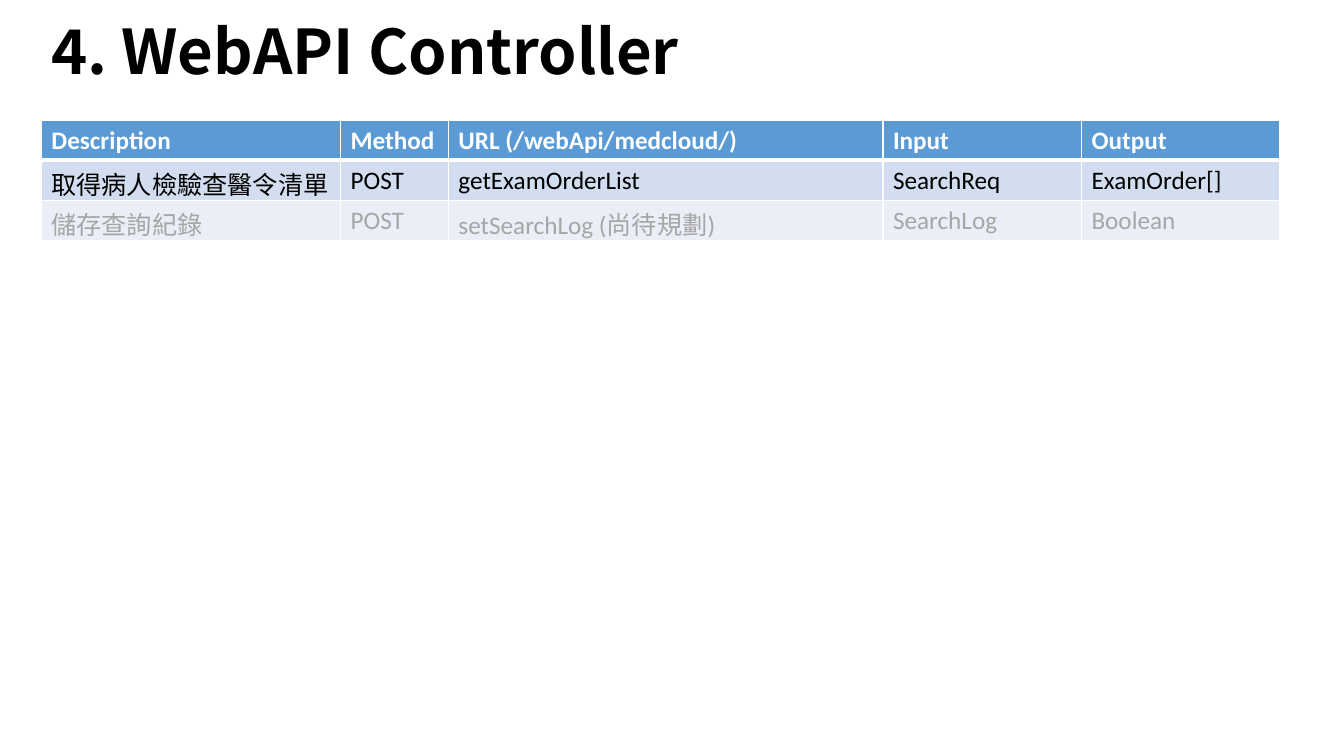
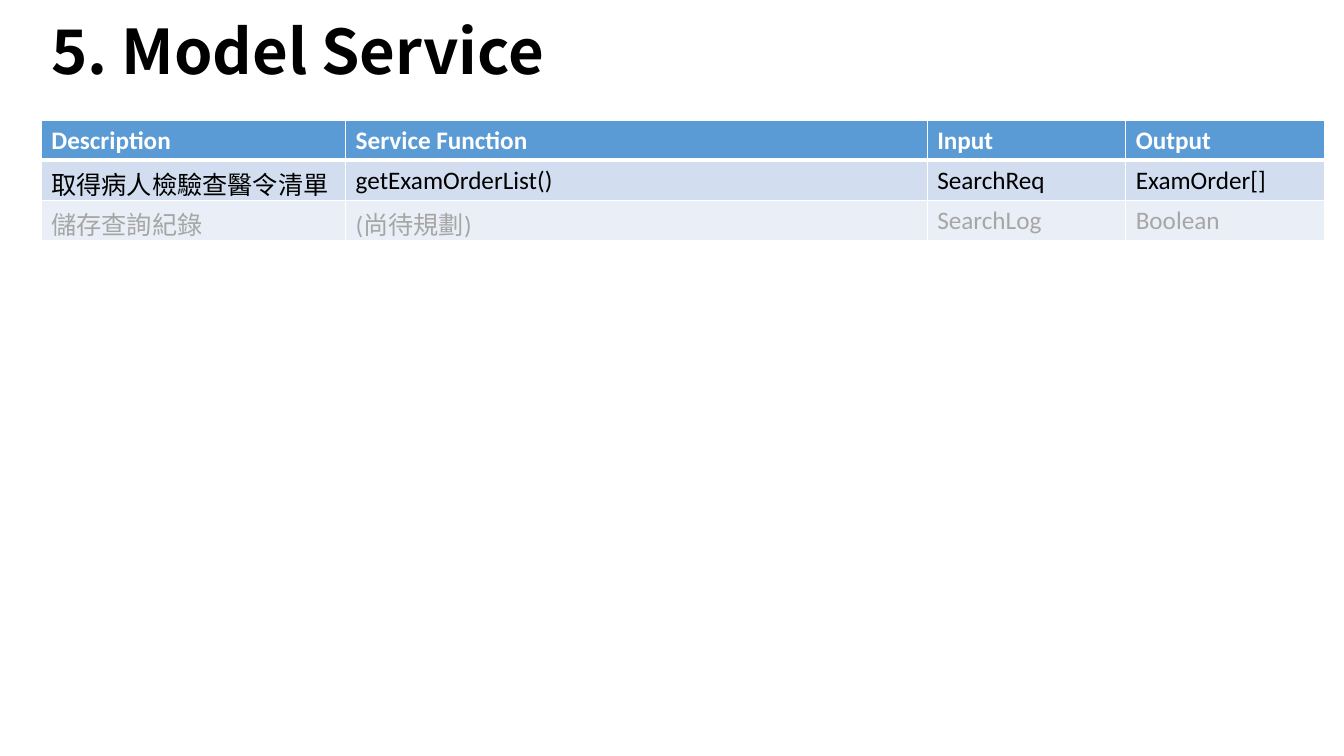
from itertools import groupby

from lxml import etree
from pptx import Presentation
from pptx.dml.color import RGBColor
from pptx.enum.text import MSO_ANCHOR
from pptx.oxml.ns import qn
from pptx.util import Pt

MIDDLE = MSO_ANCHOR.MIDDLE
LATIN_FONT, CJK_FONT = "Calibri", "Noto Sans CJK SC"
BLACK, WHITE, GREY = "000000", "FFFFFF", "A6A6A6"

# Content: title, column widths in points, table rows
SLIDES = [
    {
        "title": "4. WebAPI Controller",
        "widths": [213.8, 77, 310.4, 141.8, 141.8],
        "rows": [
            ["Description", "Method", "URL (/webApi/medcloud/)", "Input", "Output"],
            ["取得病人檢驗查醫令清單", "POST", "getExamOrderList", "SearchReq", "ExamOrder[]"],
            ["儲存查詢紀錄", "POST", "setSearchLog (尚待規劃)", "SearchLog", "Boolean"],
        ],
    },
    {
        "title": "5. Model Service",
        "widths": [217.4, 415.4, 141.8, 141.8],
        "rows": [
            ["Description", "Service Function", "Input", "Output"],
            ["取得病人檢驗查醫令清單", "getExamOrderList()", "SearchReq", "ExamOrder[]"],
            ["儲存查詢紀錄", "(尚待規劃)", "SearchLog", "Boolean"],
        ],
    },
]

# Shared layout, and one style per table row
SLIDE_SIZE = (960, 540)
LEFT = 29.5
TITLE_TOP, TITLE_WIDTH, TITLE_HEIGHT = -7.2, 669.6, 92.2
TABLE_TOP, ROW_HEIGHT = 85.7, 28.8
THIN, THICK = 1, 3
ROW_STYLES = [
    {"fill": "5B9BD5", "color": WHITE, "bold": True, "top": THIN, "bottom": THICK},
    {"fill": "D2DEEF", "color": BLACK, "bold": False, "top": THICK, "bottom": THIN},
    {"fill": "EAEFF7", "color": GREY, "bold": False, "top": THIN, "bottom": THIN},
]


def rgb(value):
    return RGBColor.from_string(value)


def is_cjk(char):
    return ord(char) >= 0x2E80


def write(frame, text, size, color, bold, latin_font=LATIN_FONT, line_spacing=None):
    """Write one paragraph, with a run for each stretch of Latin or CJK text."""
    frame.word_wrap = True
    paragraph = frame.paragraphs[0]
    if line_spacing:
        paragraph.line_spacing = line_spacing
    for cjk, chars in groupby(text, is_cjk):
        run = paragraph.add_run()
        run.text = "".join(chars)
        font = run.font
        font.size, font.bold = Pt(size), bold
        font.color.rgb = rgb(color)
        font.name = CJK_FONT if cjk else latin_font
        east_asian = etree.SubElement(font._element, qn("a:ea"))
        east_asian.set("typeface", CJK_FONT)


def add_borders(cell, top, bottom):
    properties = cell._tc.get_or_add_tcPr()
    for side, width in (("L", THIN), ("R", THIN), ("T", top), ("B", bottom)):
        line = etree.SubElement(properties, qn(f"a:ln{side}"), w=str(Pt(width)))
        fill = etree.SubElement(line, qn("a:solidFill"))
        etree.SubElement(fill, qn("a:srgbClr"), val=WHITE)


def add_title(slide, text):
    box = slide.shapes.add_textbox(
        Pt(LEFT), Pt(TITLE_TOP), Pt(TITLE_WIDTH), Pt(TITLE_HEIGHT))
    box.text_frame.vertical_anchor = MIDDLE
    write(box.text_frame, text, size=44, color=BLACK, bold=True,
          latin_font=CJK_FONT, line_spacing=0.9)


def add_api_table(slide, widths, rows):
    table = slide.shapes.add_table(
        len(rows), len(widths), Pt(LEFT), Pt(TABLE_TOP),
        Pt(sum(widths)), Pt(ROW_HEIGHT * len(rows))).table
    for column, width in zip(table.columns, widths):
        column.width = Pt(width)
    for row, texts, style in zip(table.rows, rows, ROW_STYLES):
        row.height = Pt(ROW_HEIGHT)
        for cell, text in zip(row.cells, texts):
            add_borders(cell, style["top"], style["bottom"])
            cell.fill.solid()
            cell.fill.fore_color.rgb = rgb(style["fill"])
            cell.vertical_anchor = MIDDLE
            write(cell.text_frame, text, size=18,
                  color=style["color"], bold=style["bold"])


def main():
    deck = Presentation()
    deck.slide_width, deck.slide_height = map(Pt, SLIDE_SIZE)
    blank = deck.slide_layouts[6]
    for content in SLIDES:
        slide = deck.slides.add_slide(blank)
        add_title(slide, content["title"])
        add_api_table(slide, content["widths"], content["rows"])
    deck.save("out.pptx")


if __name__ == "__main__":
    main()
